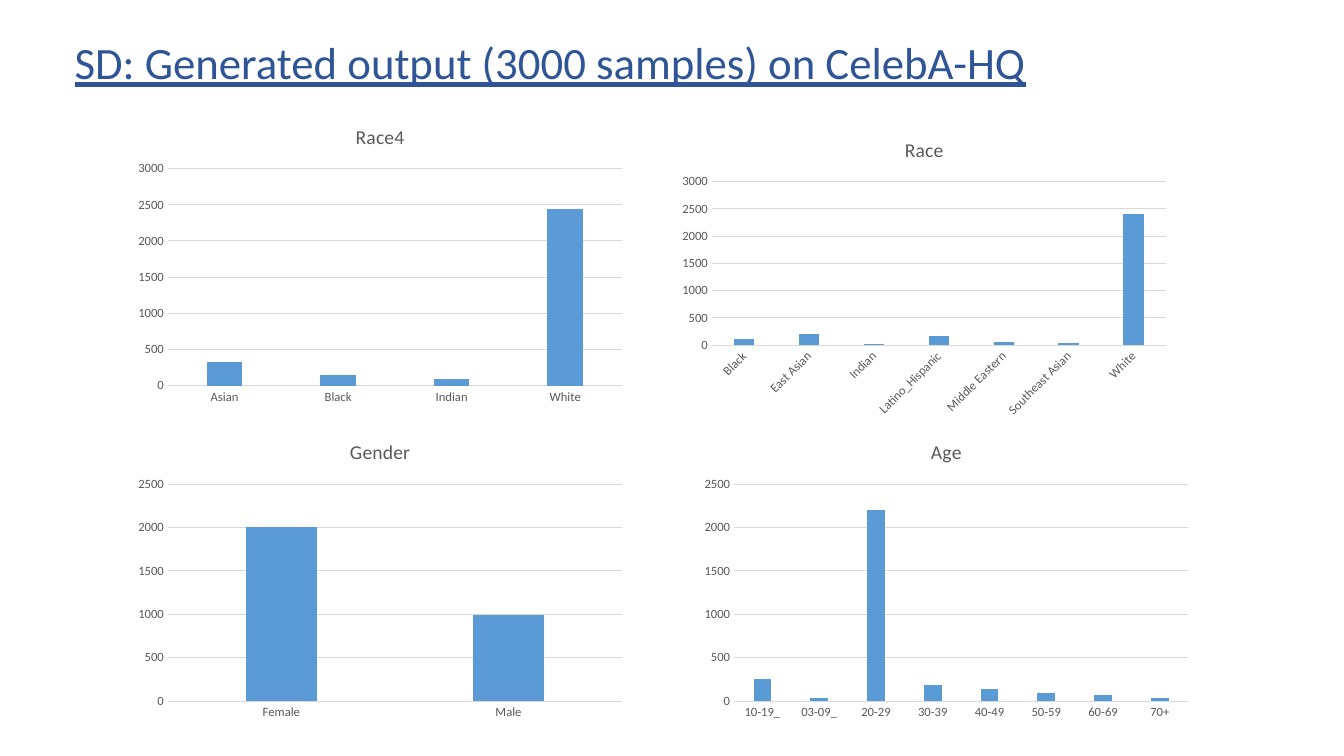
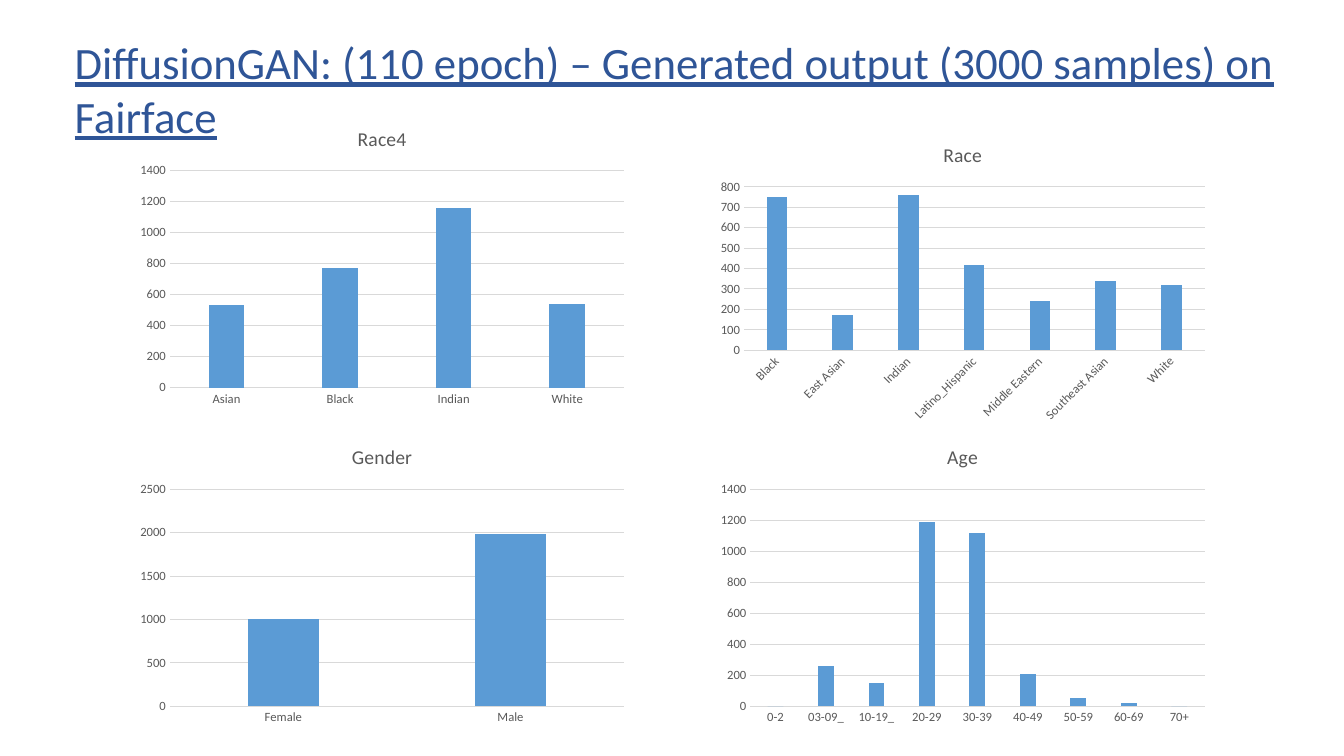
from dataclasses import dataclass

import pptx
import pptx.chart.chart
import pptx.chart.data
import pptx.dml.color
import pptx.enum.chart
import pptx.enum.text
import pptx.presentation
import pptx.slide
import pptx.text.text
import pptx.util
from pptx.util import Cm

TITLE_BLUE = pptx.dml.color.RGBColor(0x2F, 0x55, 0x97)
BAR_BLUE = pptx.dml.color.RGBColor(0x5B, 0x9B, 0xD5)
LABEL_GREY = pptx.dml.color.RGBColor(0x59, 0x59, 0x59)
LINE_GREY = pptx.dml.color.RGBColor(0xD9, 0xD9, 0xD9)
FONT = "Calibri"

CHART_WIDTH, CHART_HEIGHT = Cm(12.7), Cm(7.62)
SLANTED, LEVEL = "-2700000", "0"

RACE4_GROUPS = ("Asian", "Black", "Indian", "White")
RACE_GROUPS = ("Black", "East Asian", "Indian", "Latino_Hispanic",
               "Middle Eastern", "Southeast Asian", "White")
GENDERS = ("Female", "Male")
OLDER_AGES = ("20-29", "30-39", "40-49", "50-59", "60-69", "70+")


@dataclass(frozen=True)
class BarChart:
    title: str
    left: float
    top: float
    categories: tuple[str, ...]
    values: tuple[int, ...]
    label_rotation: str = LEVEL


@dataclass(frozen=True)
class ResultPage:
    title: str
    title_width: float
    title_height: float
    charts: tuple[BarChart, ...]


PAGES = (
    ResultPage("SD: Generated output (3000 samples) on CelebA-HQ", 28.58, 1.63, (
        BarChart("Age", 17.5, 10.67, ("10-19_", "03-09_") + OLDER_AGES,
                 (250, 30, 2200, 190, 140, 90, 70, 40)),
        BarChart("Gender", 3.23, 10.67, GENDERS, (2010, 990)),
        BarChart("Race4", 3.23, 2.72, RACE4_GROUPS, (320, 150, 90, 2440)),
        BarChart("Race", 16.94, 3.05, RACE_GROUPS,
                 (120, 200, 20, 170, 60, 30, 2410), SLANTED),
    )),
    ResultPage("DiffusionGAN: (110 epoch) – Generated output (3000 samples) on Fairface",
               31.6, 3, (
        BarChart("Age", 17.91, 10.8, ("0-2", "03-09_", "10-19_") + OLDER_AGES,
                 (0, 260, 150, 1190, 1120, 210, 50, 20, 0)),
        BarChart("Gender", 3.28, 10.8, GENDERS, (1010, 1990)),
        BarChart("Race4", 3.28, 2.77, RACE4_GROUPS, (530, 770, 1160, 540)),
        BarChart("Race", 17.91, 3.18, RACE_GROUPS,
                 (750, 170, 760, 420, 240, 340, 320), SLANTED),
    )),
)


def style_font(font: pptx.text.text.Font, size: int,
               color: pptx.dml.color.RGBColor) -> None:
    font.name = FONT
    font.size = pptx.util.Pt(size)
    font.bold = False
    font.color.rgb = color


def add_title(page: pptx.slide.Slide, content: ResultPage) -> None:
    box = page.shapes.add_textbox(Cm(1.63), Cm(0.76), Cm(content.title_width),
                                  Cm(content.title_height))
    frame = box.text_frame
    frame.word_wrap = True
    frame.auto_size = pptx.enum.text.MSO_AUTO_SIZE.SHAPE_TO_FIT_TEXT
    span = frame.paragraphs[0].add_run()
    span.text = content.title
    style_font(span.font, 32, TITLE_BLUE)
    span.font.underline = True


def style_axes(chart: pptx.chart.chart.Chart, label_rotation: str) -> None:
    for axis in (chart.category_axis, chart.value_axis):
        axis.major_tick_mark = pptx.enum.chart.XL_TICK_MARK.NONE
        axis.minor_tick_mark = pptx.enum.chart.XL_TICK_MARK.NONE
        style_font(axis.tick_labels.font, 9, LABEL_GREY)
    value_axis = chart.value_axis
    value_axis.has_major_gridlines = True
    value_axis.format.line.fill.background()
    for line in (chart.category_axis.format.line,
                 value_axis.major_gridlines.format.line):
        line.color.rgb = LINE_GREY
        line.width = pptx.util.Pt(0.75)
    body = chart.category_axis.tick_labels.font._element.getparent().getparent().getparent()
    body.find(pptx.oxml.ns.qn("a:bodyPr")).set("rot", label_rotation)


def add_bar_chart(page: pptx.slide.Slide, content: BarChart) -> None:
    data = pptx.chart.data.CategoryChartData(number_format="General")
    data.categories = content.categories
    data.add_series(content.title, content.values)
    chart = page.shapes.add_chart(
        pptx.enum.chart.XL_CHART_TYPE.COLUMN_CLUSTERED,
        Cm(content.left), Cm(content.top), CHART_WIDTH, CHART_HEIGHT, data).chart
    chart.has_legend = False
    style_font(chart.font, 10, LABEL_GREY)
    chart.has_title = True
    chart.chart_title.include_in_layout = False
    span = chart.chart_title.text_frame.paragraphs[0].add_run()
    span.text = content.title
    style_font(span.font, 14, LABEL_GREY)
    plot = chart.plots[0]
    plot.gap_width = 219
    plot.overlap = -27
    plot.vary_by_categories = False
    bars = plot.series[0]
    bars.invert_if_negative = False
    bars.format.fill.solid()
    bars.format.fill.fore_color.rgb = BAR_BLUE
    style_axes(chart, content.label_rotation)


def add_page(deck: pptx.presentation.Presentation, content: ResultPage) -> None:
    page = deck.slides.add_slide(deck.slide_layouts[6])
    add_title(page, content)
    for chart in content.charts:
        add_bar_chart(page, chart)


def main() -> None:
    deck = pptx.Presentation()
    deck.slide_width, deck.slide_height = Cm(33.87), Cm(19.05)
    for content in PAGES:
        add_page(deck, content)
    deck.save("out.pptx")


if __name__ == "__main__":
    main()
